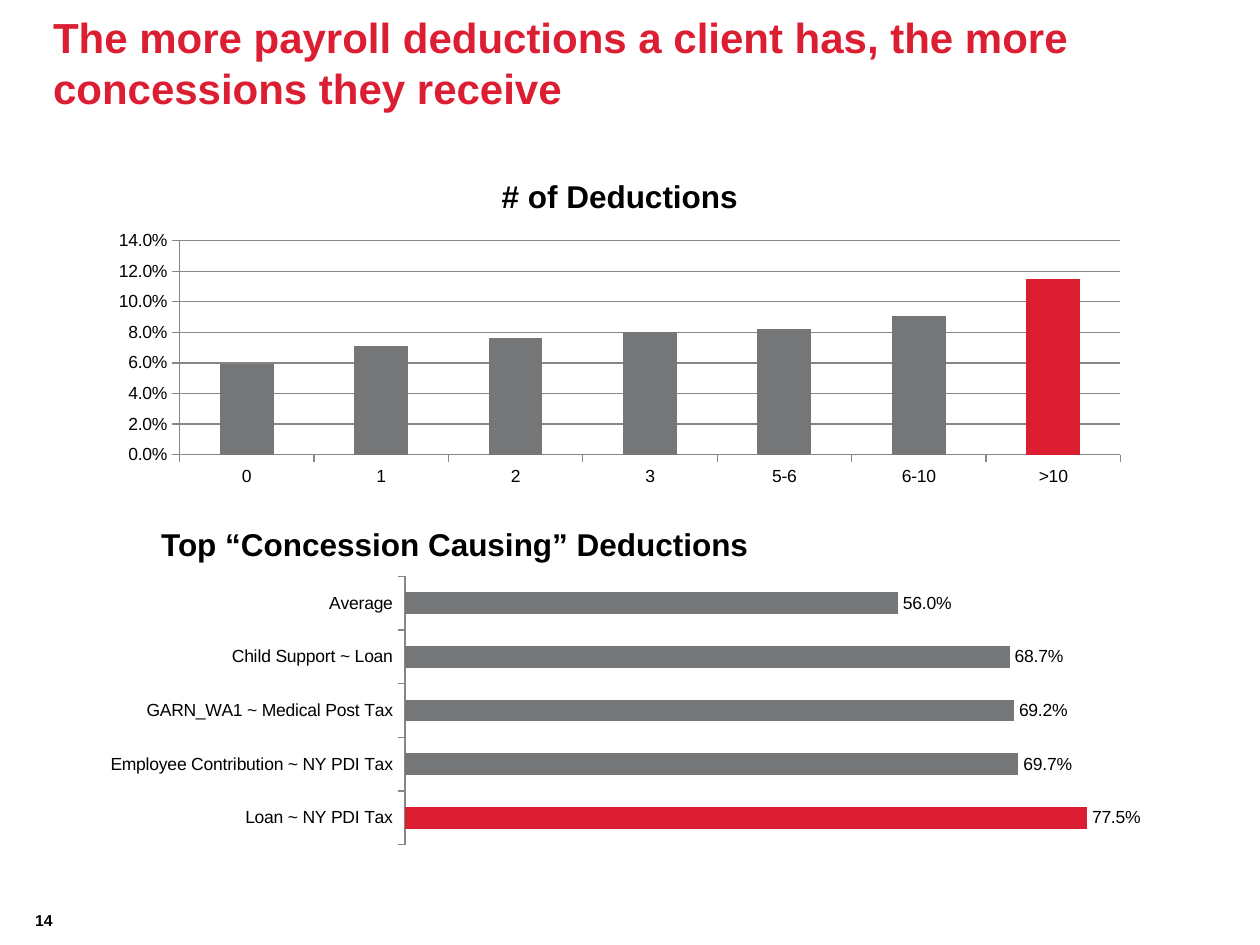
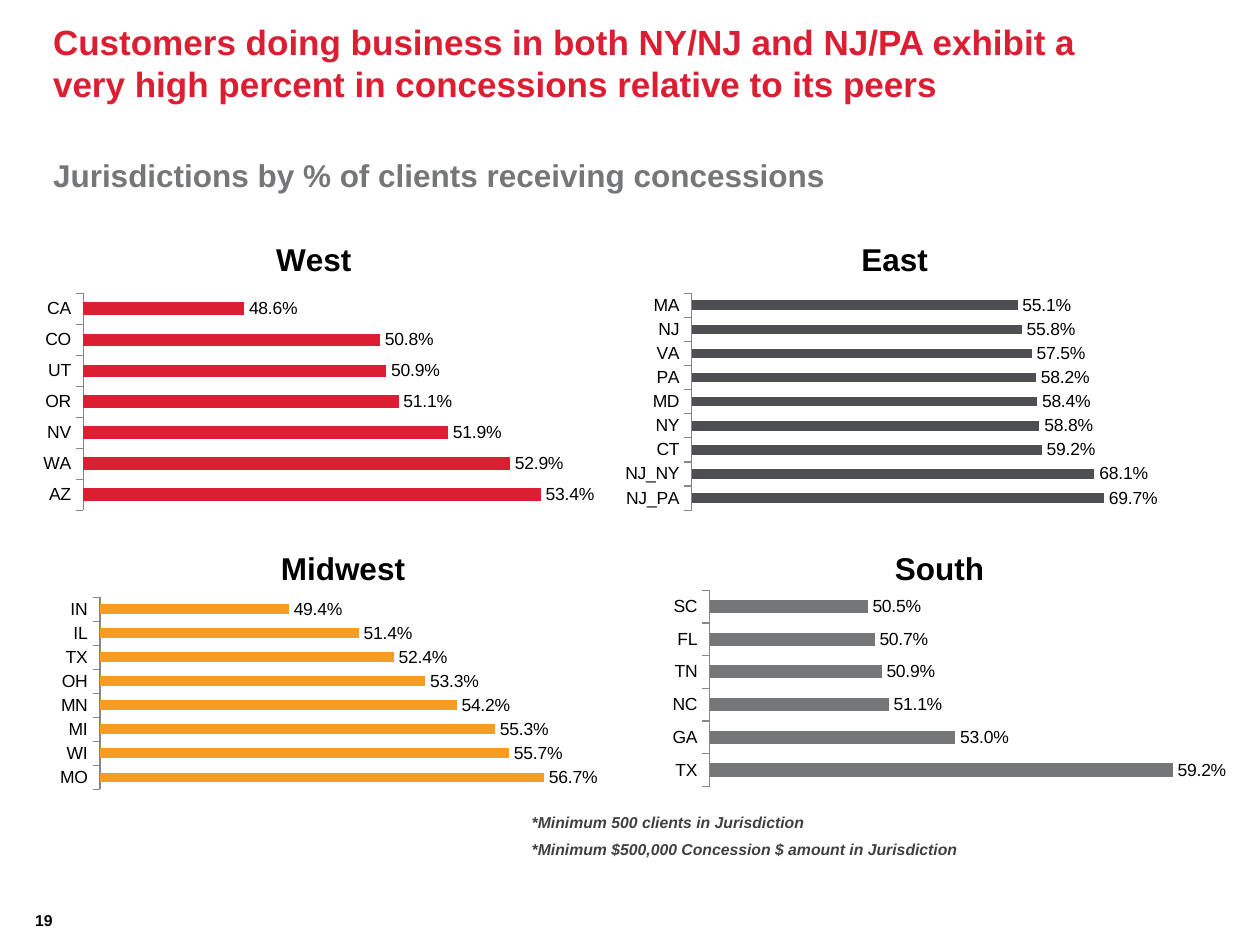
from lxml import etree
from pptx import Presentation
from pptx import util as u
from pptx.chart.data import CategoryChartData
from pptx.dml.color import RGBColor
from pptx.enum import chart as charts, text
from pptx.oxml import parse_xml
from pptx.oxml.ns import nsdecls, qn

FONT = "Arial"
RED, GREY, DARK, ORANGE = "DC1E32", "747678", "4D4F53", "F89B22"
BLACK, NOTE, AXIS = "000000", "404040", "868686"
PERCENT = "0.0%"


def colour(code):
    """Turn a hex string into a colour."""
    return RGBColor.from_string(code)


def paint(line):
    """Give an axis or grid line its thin grey stroke."""
    line.color.rgb = colour(AXIS)
    line.width = u.Pt(0.75)


def style_font(font, size, code=BLACK, bold=False, italic=False):
    """Set every property of a font."""
    font.name, font.size = FONT, u.Pt(size)
    font.bold, font.italic = bold, italic
    font.color.rgb = colour(code)


def write(frame, lines, size=18, code=BLACK, bold=True, italic=False,
          align=text.PP_ALIGN.LEFT, spacing=None, before=0):
    """Fill a text frame with one paragraph for each line."""
    for index, line in enumerate(lines):
        para = frame.paragraphs[0] if index == 0 else frame.add_paragraph()
        para.alignment = align
        para.space_before = u.Pt(before)
        if spacing:
            para.line_spacing = spacing
        span = para.add_run()
        span.text = line
        style_font(span.font, size, code, bold, italic)


class Report:
    """The deck, its style and the page being built."""

    def __init__(self):
        """Start an empty deck."""
        self.deck = Presentation()
        self.deck.slide_width, self.deck.slide_height = u.Cm(25.4), u.Cm(19.05)
        self.page = None

    def add_page(self, title, title_size, number):
        """Add a page with its title and page number."""
        self.page = self.deck.slides.add_slide(self.deck.slide_layouts[6])
        self.add_text((1.07, 0, 20.68, 2.51), title, size=title_size, code=RED,
                      anchor=text.MSO_ANCHOR.MIDDLE)
        self.add_text((0.25, 17.73, 0.81, 1.02), str(number), size=9,
                      align=text.PP_ALIGN.RIGHT, anchor=text.MSO_ANCHOR.BOTTOM)

    def add_text(self, place, *lines, anchor=text.MSO_ANCHOR.TOP, **style):
        """Add a text box without margins."""
        box = self.page.shapes.add_textbox(*map(u.Cm, place))
        frame = box.text_frame
        frame.word_wrap = True
        frame.vertical_anchor = anchor
        frame.margin_left = frame.margin_right = 0
        frame.margin_top = frame.margin_bottom = 0
        write(frame, lines, **style)

    def add_heading(self, place, line, code=BLACK):
        """Add a section heading."""
        self.add_text(place, line, code=code, spacing=1.2, before=14)

    def add_bars(self, place, plot, values, scale, fill, title=None,
                 highlight=None, columns=False):
        """Add labelled bars, or columns with a value axis."""
        data = CategoryChartData(number_format=PERCENT)
        data.categories = list(values)
        data.add_series("Series 1", values.values())
        kind = charts.XL_CHART_TYPE.COLUMN_CLUSTERED if columns else charts.XL_CHART_TYPE.BAR_CLUSTERED
        chart = self.page.shapes.add_chart(kind, *map(u.Cm, place), data).chart
        style_font(chart.font, 10)
        chart.has_legend = False
        chart.has_title = title is not None
        if title:
            write(chart.chart_title.text_frame, [title])
            chart.chart_title.include_in_layout = False
        self.style_axes(chart, scale, columns)
        self.style_series(chart.plots[0], fill, highlight, labels=not columns)
        self.place_plot(chart, plot)

    def style_axes(self, chart, scale, columns):
        """Set the scale, lines and ticks of both axes."""
        values, names = chart.value_axis, chart.category_axis
        values.minimum_scale, values.maximum_scale = scale
        values.major_unit = 0.02
        values.visible = values.has_major_gridlines = columns
        values.tick_labels.number_format = PERCENT
        values.tick_labels.number_format_is_linked = False
        if columns:
            paint(values.major_gridlines.format.line)
        for axis in (values, names):
            axis.major_tick_mark = charts.XL_TICK_MARK.OUTSIDE
            axis.minor_tick_mark = charts.XL_TICK_MARK.NONE
            paint(axis.format.line)

    def style_series(self, plot, fill, highlight, labels):
        """Colour the bars and show their values."""
        plot.gap_width = 150
        plot.vary_by_categories = False
        series = plot.series[0]
        series.invert_if_negative = False
        series.format.fill.solid()
        series.format.fill.fore_color.rgb = colour(fill)
        if highlight is not None:
            accent = series.points[highlight].format.fill
            accent.solid()
            accent.fore_color.rgb = colour(RED)
        if labels:
            marks = series.data_labels
            marks.show_value = True
            marks.number_format = PERCENT
            marks.number_format_is_linked = False
            marks.position = charts.XL_LABEL_POSITION.OUTSIDE_END
            style_font(marks.font, 10)

    def place_plot(self, chart, plot):
        """Fix the inner plot area as fractions of the chart."""
        area = chart.plots[0]._element.getparent()
        for old in area.findall(qn("c:layout")):
            area.remove(old)
        layout = parse_xml(f"<c:layout {nsdecls('c')}><c:manualLayout/></c:layout>")
        settings = [("layoutTarget", "inner"), ("xMode", "edge"), ("yMode", "edge"),
                    *zip("xywh", plot)]
        for name, value in settings:
            etree.SubElement(layout[0], qn(f"c:{name}")).set("val", str(value))
        area.insert(0, layout)


def build_deductions(report):
    """Build the page on payroll deductions."""
    report.add_page("The more payroll deductions a client has, the more "
                    "concessions they receive", 24, 14)
    report.add_heading((3.25, 10.44, 12.93, 1.45), "Top “Concession Causing” Deductions")
    causes = {"Loan ~ NY PDI Tax": 0.775, "Employee Contribution ~ NY PDI Tax": 0.697,
              "GARN_WA1 ~ Medical Post Tax": 0.692, "Child Support ~ Loan": 0.687,
              "Average": 0.56}
    report.add_bars((1.78, 11.51, 22.81, 5.64), (0.28, 0.019, 0.7, 0.96), causes,
                    (0, 0.9), GREY, highlight=0)
    counts = {"0": 0.059, "1": 0.071, "2": 0.076, "3": 0.08, "5-6": 0.082,
              "6-10": 0.091, ">10": 0.115}
    report.add_bars((1.98, 3.15, 21.03, 6.81), (0.078, 0.25, 0.902, 0.634), counts,
                    (0, 0.14), GREY, title="# of Deductions", highlight=6, columns=True)


def build_jurisdictions(report):
    """Build the page on jurisdictions by region."""
    report.add_page("Customers doing business in both NY/NJ and NJ/PA exhibit a "
                    "very high percent in concessions relative to its peers", 20, 19)
    report.add_heading((1.07, 3, 16.41, 1.45),
                       "Jurisdictions by % of clients receiving concessions", GREY)
    east = {"NJ_PA": 0.697, "NJ_NY": 0.681, "CT": 0.592, "NY": 0.588, "MD": 0.584,
            "PA": 0.582, "VA": 0.575, "NJ": 0.558, "MA": 0.551}
    midwest = {"MO": 0.567, "WI": 0.557, "MI": 0.553, "MN": 0.542, "OH": 0.533,
               "TX": 0.524, "IL": 0.514, "IN": 0.494}
    south = {"TX": 0.592, "GA": 0.53, "NC": 0.511, "TN": 0.509, "FL": 0.507, "SC": 0.505}
    west = {"AZ": 0.534, "WA": 0.529, "NV": 0.519, "OR": 0.511, "UT": 0.509,
            "CO": 0.508, "CA": 0.486}
    regions = [
        ("East", (12.37, 4.45, 11.33, 5.97), (0.139, 0.245, 0.842, 0.733), east, (0, 0.8), DARK),
        ("Midwest", (0.97, 10.67, 11.89, 6.17), (0.088, 0.222, 0.83, 0.628), midwest, (0.44, 0.58), ORANGE),
        ("South", (12.83, 10.67, 12.22, 5.82), (0.121, 0.211, 0.81, 0.68), south, (0.46, 0.6), GREY),
        ("West", (0.66, 4.45, 11.33, 5.97), (0.09, 0.245, 0.88, 0.733), west, (0.46, 0.54), RED),
    ]
    for title, *settings in regions:
        report.add_bars(*settings, title=title)
    report.add_text((10.72, 16.38, 9.3, 0.97), "*Minimum 500 clients in Jurisdiction",
                    "*Minimum $500,000 Concession $ amount in Jurisdiction",
                    size=9, code=NOTE, italic=True, before=5)


def main():
    """Build and save the deck."""
    report = Report()
    build_deductions(report)
    build_jurisdictions(report)
    report.deck.save("out.pptx")


if __name__ == "__main__":
    main()
